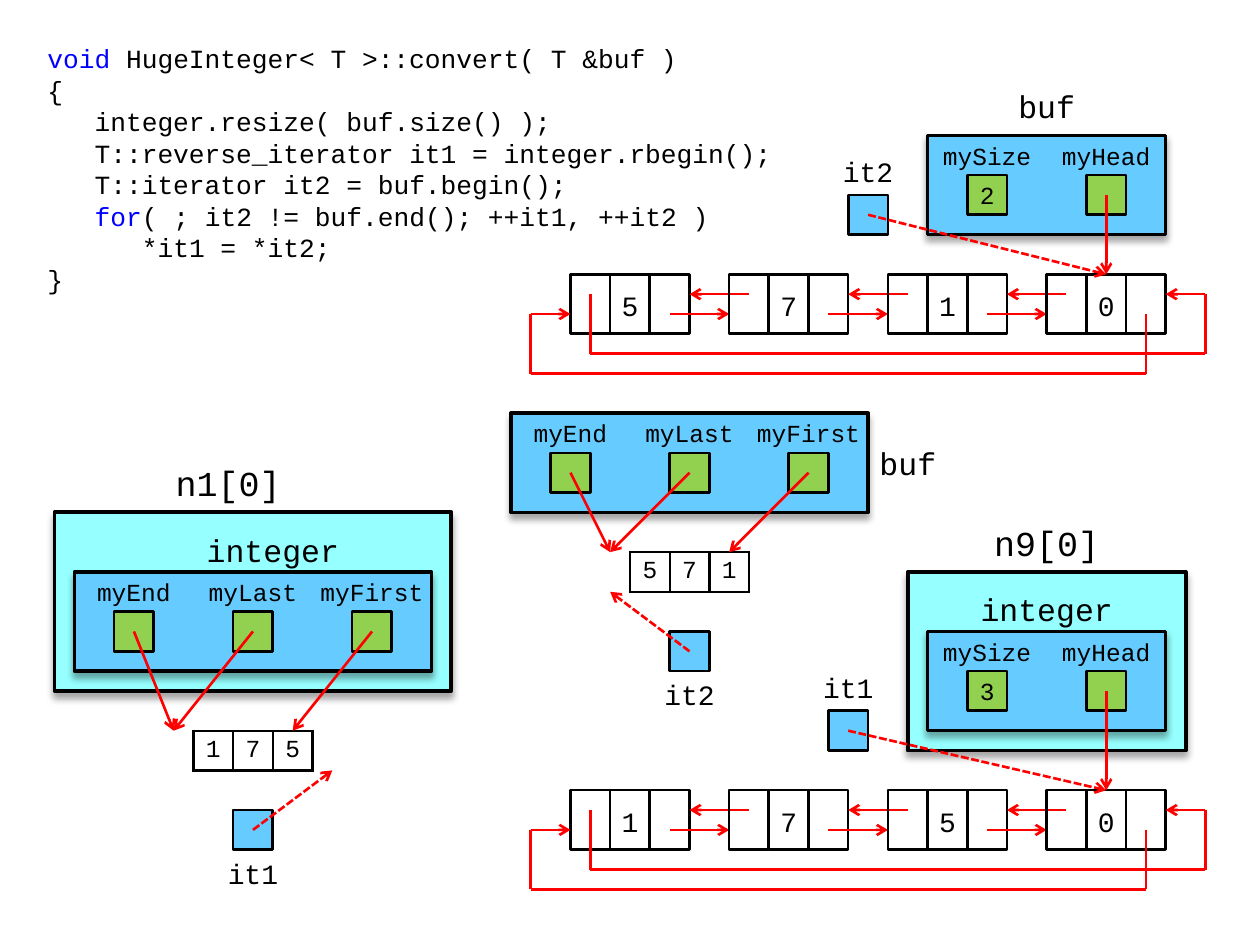
from itertools import pairwise
from lxml import etree
from pptx import Presentation
from pptx.dml.color import RGBColor
from pptx.enum.dml import MSO_LINE
from pptx.enum.shapes import MSO_CONNECTOR, MSO_SHAPE
from pptx.enum.text import MSO_ANCHOR, PP_ALIGN
from pptx.oxml import parse_xml
from pptx.oxml.ns import nsdecls, qn
from pptx.util import Cm, Pt

FONT = "Courier New"
BLACK = RGBColor(0, 0, 0)
KEYWORD = RGBColor(0, 0, 0xFF)
RED = RGBColor(0xFF, 0, 0)
AQUA = RGBColor(0x96, 0xFF, 0xFF)
SKY = RGBColor(0x66, 0xCC, 0xFF)
GREEN = RGBColor(0x92, 0xD0, 0x50)
TOP, MID, BOTTOM = MSO_ANCHOR.TOP, MSO_ANCHOR.MIDDLE, MSO_ANCHOR.BOTTOM

# Content: lengths in cm
CODE = [  # indent in characters, keyword, rest of the line
    (0, "void", " HugeInteger< T >::convert( T &buf )"),
    (0, "", "{"),
    (3, "", "integer.resize( buf.size() );"),
    (3, "", "T::reverse_iterator it1 = integer.rbegin();"),
    (3, "", "T::iterator it2 = buf.begin();"),
    (3, "for", "( ; it2 != buf.end(); ++it1, ++it2 )"),
    (6, "", "*it1 = *it2;"),
    (0, "", "}"),
]
OBJECTS = [(1.1, 10.33, 8, 3.6), (18.3, 11.53, 5.6, 3.6)]
LABELS = [  # text, x, y, width, size, top inset, bottom inset, alignment
    ("n1[0]", 3, 9.13, 3.2, 20, 0.13, 0.13, PP_ALIGN.CENTER),
    ("integer", 3.9, 10.33, 3.2, 18, 0.3, 0, PP_ALIGN.CENTER),
    ("n9[0]", 19.5, 10.33, 3.2, 20, 0.13, 0.13, PP_ALIGN.CENTER),
    ("integer", 19.5, 11.53, 3.2, 18, 0.3, 0, PP_ALIGN.CENTER),
    ("buf", 19.9, 1.53, 2.4, 18, 0.13, 0.13, PP_ALIGN.CENTER),
    ("buf", 17.5, 8.73, 2, 18, 0.13, 0.13, PP_ALIGN.LEFT),
]
VECTORS = [  # panel x, panel y, array y, digits
    (1.5, 11.53, 14.73, "175"),
    (10.3, 8.33, 11.13, "571"),
]
LISTS = [  # panel y, node y, size, digits
    (2.73, 5.53, "2", "5710"),
    (12.73, 15.93, "3", "1750"),
]
ITERATORS = [  # name, box x, box y, label below, target
    ("it1", 4.7, 16.33, True, (6.7, 15.53)),
    ("it2", 13.5, 12.73, True, (12.3, 11.93)),
    ("it1", 16.7, 14.33, False, (22.3, 15.93)),
    ("it2", 17.1, 3.93, False, (22.3, 5.53)),
]
CELL, FIELD = 0.8, 2.4
LIST_X, NODE_X, NODE_STEP = 18.7, 11.5, 3.2

prs = Presentation()
prs.slide_width, prs.slide_height = Cm(25.4), Cm(19.05)
s = prs.slides.add_slide(prs.slide_layouts[1])
title = s.shapes.title
title.element.getparent().remove(title.element)


def put_text(sp, text, size, top=0.13, bottom=0.13, side=0.1, anchor=MID,
             align=PP_ALIGN.CENTER):
    tf = sp.text_frame
    tf.word_wrap = True
    tf.vertical_anchor = anchor
    tf.margin_left = tf.margin_right = Cm(side)
    tf.margin_top, tf.margin_bottom = Cm(top), Cm(bottom)
    p = tf.paragraphs[0]
    p.text, p.alignment = text, align
    p.font.name, p.font.size, p.font.color.rgb = FONT, Pt(size), BLACK


def label(text, x, y, w, h, size, **style):
    sp = s.shapes.add_textbox(Cm(x), Cm(y), Cm(w), Cm(h))
    put_text(sp, text, size, **style)


def box(x, y, w=CELL, h=CELL, fill=None, line=1.5, shape=MSO_SHAPE.RECTANGLE):
    sp = s.shapes.add_shape(shape, Cm(x), Cm(y), Cm(w), Cm(h))
    sp.shadow.inherit = False
    if fill is None:
        sp.fill.background()
    else:
        sp.fill.solid()
        sp.fill.fore_color.rgb = fill
    sp.line.color.rgb, sp.line.width = BLACK, Pt(line)
    return sp


def panel(x, y, w, h, fill, line):
    sp = box(x, y, w, h, fill, line, MSO_SHAPE.FLOWCHART_PROCESS)
    sp.element.spPr.find(qn("a:effectLst")).append(parse_xml(
        f'<a:outerShdw {nsdecls("a")} blurRad="50800" dist="38100" dir="5400000" '
        'rotWithShape="0"><a:srgbClr val="000000"><a:alpha val="35000"/>'
        '</a:srgbClr></a:outerShdw>'))


def wire(*points, dash=False):
    """Join the points with lines; the last one carries an arrowhead."""
    for a, b in pairwise(points):
        c = s.shapes.add_connector(MSO_CONNECTOR.STRAIGHT, *map(Cm, a + b))
        c.line.color.rgb, c.line.width = RED, Pt(1.5)
        if dash:
            c.line.dash_style = MSO_LINE.SQUARE_DOT
        etree.SubElement(c.element.spPr, qn("a:effectLst"))
    etree.SubElement(c.line._get_or_add_ln(), qn("a:tailEnd"), type="arrow")


def fields(x, y, names, values):
    panel(x, y, FIELD * len(names), 2, SKY, 2)
    for i, (name, value) in enumerate(zip(names, values)):
        label(name, x + FIELD * i, y, FIELD, CELL, 14)
        sp = box(x + FIELD * i + CELL, y + CELL, fill=GREEN)
        if value:
            put_text(sp, value, 14)


def array(x, y, digits):
    n = len(digits)
    frame = s.shapes.add_table(1, n, Cm(x), Cm(y), Cm(CELL * n), Cm(CELL))
    t = frame.table
    t.first_row = t.horz_banding = False
    for i, digit in enumerate(digits):
        cell = t.cell(0, i)
        cell.margin_left = cell.margin_right = Cm(0.15)
        cell.margin_top = cell.margin_bottom = 0
        cell.vertical_anchor = MID
        cell.fill.background()
        p = cell.text_frame.paragraphs[0]
        p.text, p.alignment = digit, PP_ALIGN.CENTER
        p.font.name, p.font.size, p.font.color.rgb = FONT, Pt(14), BLACK
        for k, side in enumerate("LRTB"):
            cell._tc.get_or_add_tcPr().insert(k, parse_xml(
                f'<a:ln{side} {nsdecls("a")} w="19050"><a:solidFill>'
                f'<a:srgbClr val="{BLACK}"/></a:solidFill></a:ln{side}>'))


# Objects and their names
for x, y, w, h in OBJECTS:
    panel(x, y, w, h, AQUA, 2.25)
for text, x, y, w, size, top, bottom, align in LABELS:
    label(text, x, y, w, 1.2, size, top=top, bottom=bottom, side=0.23, align=align)

# Vectors
for x, y, array_y, digits in VECTORS:
    array(x + FIELD, array_y, digits)
    fields(x, y, ["myEnd", "myLast", "myFirst"], [""] * 3)
    for i, target in enumerate([2, 2, 4.4]):
        wire((x + 1.2 + FIELD * i, y + 1.2), (x + target, array_y))

# Circular linked lists
for panel_y, y, size, digits in LISTS:
    fields(LIST_X, panel_y, ["mySize", "myHead"], [size, ""])
    upper, lower = y + 0.4, y + 0.8
    for i, digit in enumerate(digits):
        x = NODE_X + NODE_STEP * i
        prev_part, value_part, next_part = [box(x + CELL * k, y, h=1.2) for k in range(3)]
        put_text(value_part, digit, 16, top=0.15, bottom=0.1)
        if i < len(digits) - 1:
            wire((x + 2, lower), (x + NODE_STEP, lower))
            wire((x + NODE_STEP + 0.4, upper), (x + 2.4, upper))
    wire((x + 1.2, panel_y + 1.2), (x + 1.2, y))
    left, right = NODE_X - CELL, x + 3.2
    wire((x + 2, lower), (x + 2, y + 2), (left, y + 2), (left, lower), (NODE_X, lower))
    wire((NODE_X + 0.4, upper), (NODE_X + 0.4, y + 1.6), (right, y + 1.6),
         (right, upper), (x + 2.4, upper))

# Iterators
for name, x, y, below, target in ITERATORS:
    box(x, y, fill=SKY)
    label(name, x - 0.4, y + (CELL if below else -CELL), 1.6, CELL, 16,
          anchor=TOP if below else BOTTOM)
    wire((x + 0.4, y + 0.4), target, dash=True)

# Code
body = s.placeholders[1]
body.left, body.top, body.width, body.height = Cm(0.7), Cm(0.73), Cm(15.2), Cm(5.2)
tf = body.text_frame
tf.word_wrap = True
for i, (indent, keyword, rest) in enumerate(CODE):
    p = tf.add_paragraph() if i else tf.paragraphs[0]
    p.font.name, p.font.size = FONT, Pt(15)
    p.space_before, p.line_spacing = Pt(0), Pt(18)
    pPr = p._p.get_or_add_pPr()
    pPr.set("marL", str(Pt(9 * indent)))
    pPr.set("indent", "0")
    pPr.insert_element_before(parse_xml(f'<a:buNone {nsdecls("a")}/>'),
                              "a:tabLst", "a:defRPr", "a:extLst")
    for text, color in ((keyword, KEYWORD), (rest, BLACK)):
        if text:
            r = p.add_run()
            r.text, r.font.color.rgb = text, color

prs.save("out.pptx")
